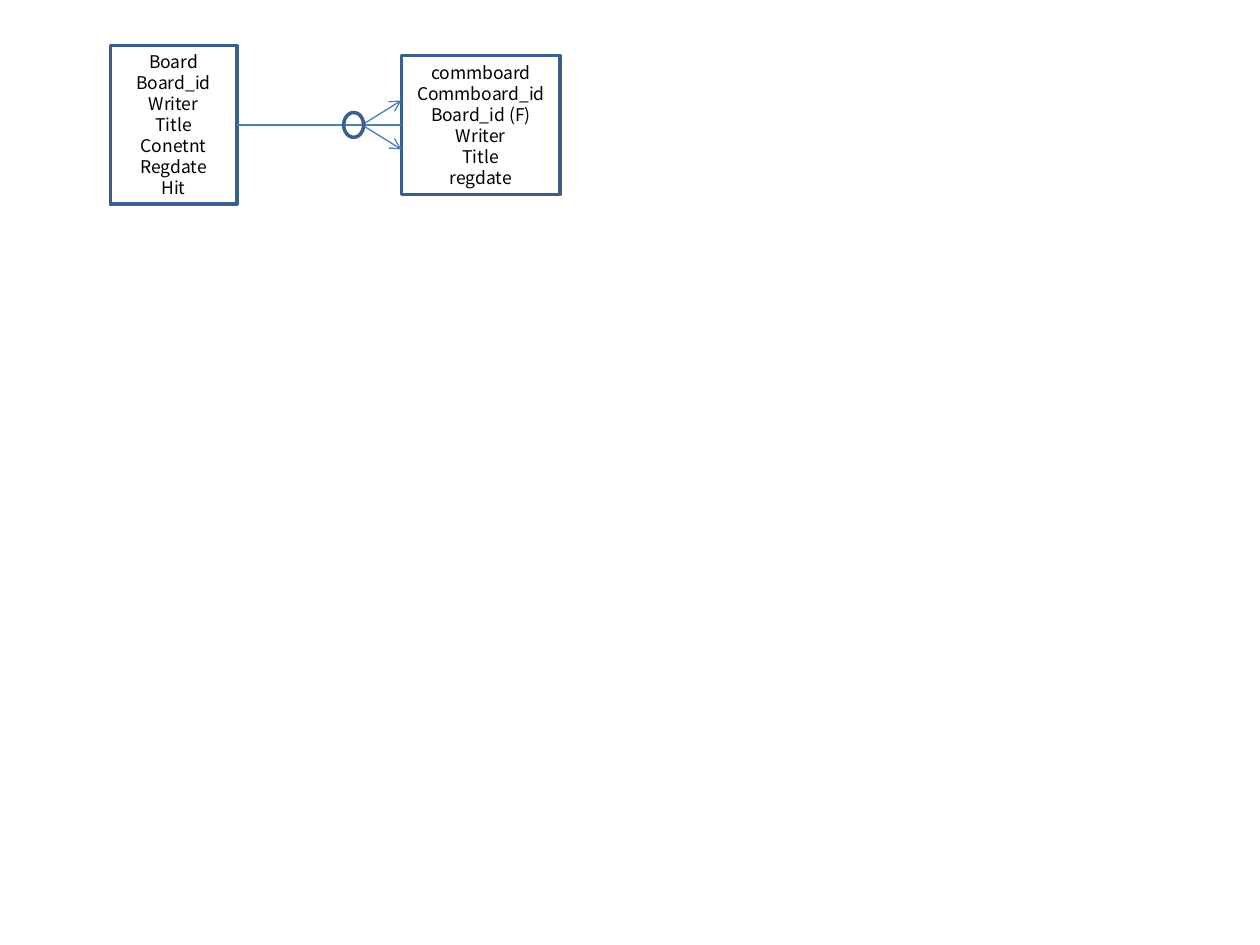
import pptx
import pptx.util
import pptx.dml.color
import pptx.enum.shapes
import pptx.enum.text
import pptx.oxml.ns
import lxml.etree

Pt = pptx.util.Pt
SHAPES = pptx.enum.shapes.MSO_SHAPE
OUTLINE = pptx.dml.color.RGBColor(0x3A, 0x5F, 0x8C)
LINK = pptx.dml.color.RGBColor(0x4B, 0x7E, 0xBC)
BLACK = pptx.dml.color.RGBColor(0, 0, 0)
FONT = "Noto Sans CJK KR"
AXIS = 71.4  # shared vertical centre of the diagram

deck = pptx.Presentation()
deck.slide_width, deck.slide_height = Pt(720), Pt(540)
page = deck.slides.add_slide(deck.slide_layouts[6])


def add_outline(kind, left, width, height):
    shape = page.shapes.add_shape(
        kind, Pt(left), Pt(AXIS - height / 2), Pt(width), Pt(height))
    shape.shadow.inherit = False
    shape.fill.background()
    shape.line.color.rgb = OUTLINE
    shape.line.width = Pt(2)
    return shape


# Entity boxes: left, width, height, fields
entities = [
    (63, 72.3, 90.7,
     ["Board", "Board_id", "Writer", "Title", "Conetnt", "Regdate", "Hit"]),
    (229.4, 90.7, 79.4,
     ["commboard", "Commboard_id", "Board_id (F)", "Writer", "Title", "regdate"]),
]
for left, width, height, fields in entities:
    box = add_outline(SHAPES.RECTANGLE, left, width, height)
    frame = box.text_frame
    frame.word_wrap = False
    frame.vertical_anchor = pptx.enum.text.MSO_ANCHOR.MIDDLE
    for index, field in enumerate(fields):
        para = frame.add_paragraph() if index else frame.paragraphs[0]
        para.alignment = pptx.enum.text.PP_ALIGN.CENTER
        para.line_spacing = Pt(12)
        span = para.add_run()
        span.text = field
        span.font.name = FONT
        span.font.size = Pt(10)
        span.font.color.rgb = BLACK

# Relation line and crow's foot: start, vertical offset at the end, arrowhead
for start, rise, arrow in [(135.3, 0, False), (206.9, -14, True), (206.9, 14, True)]:
    link = page.shapes.add_connector(
        pptx.enum.shapes.MSO_CONNECTOR.STRAIGHT,
        Pt(start), Pt(AXIS), Pt(229.4), Pt(AXIS + rise))
    link.line.color.rgb = LINK
    link.line.width = Pt(0.75)
    if arrow:
        lxml.etree.SubElement(
            link.line._get_or_add_ln(), pptx.oxml.ns.qn("a:tailEnd"), type="arrow")
    lxml.etree.SubElement(link._element.spPr, pptx.oxml.ns.qn("a:effectLst"))

# Optional-relation ring
add_outline(SHAPES.OVAL, 196.4, 11.4, 14.2)

deck.save("out.pptx")
